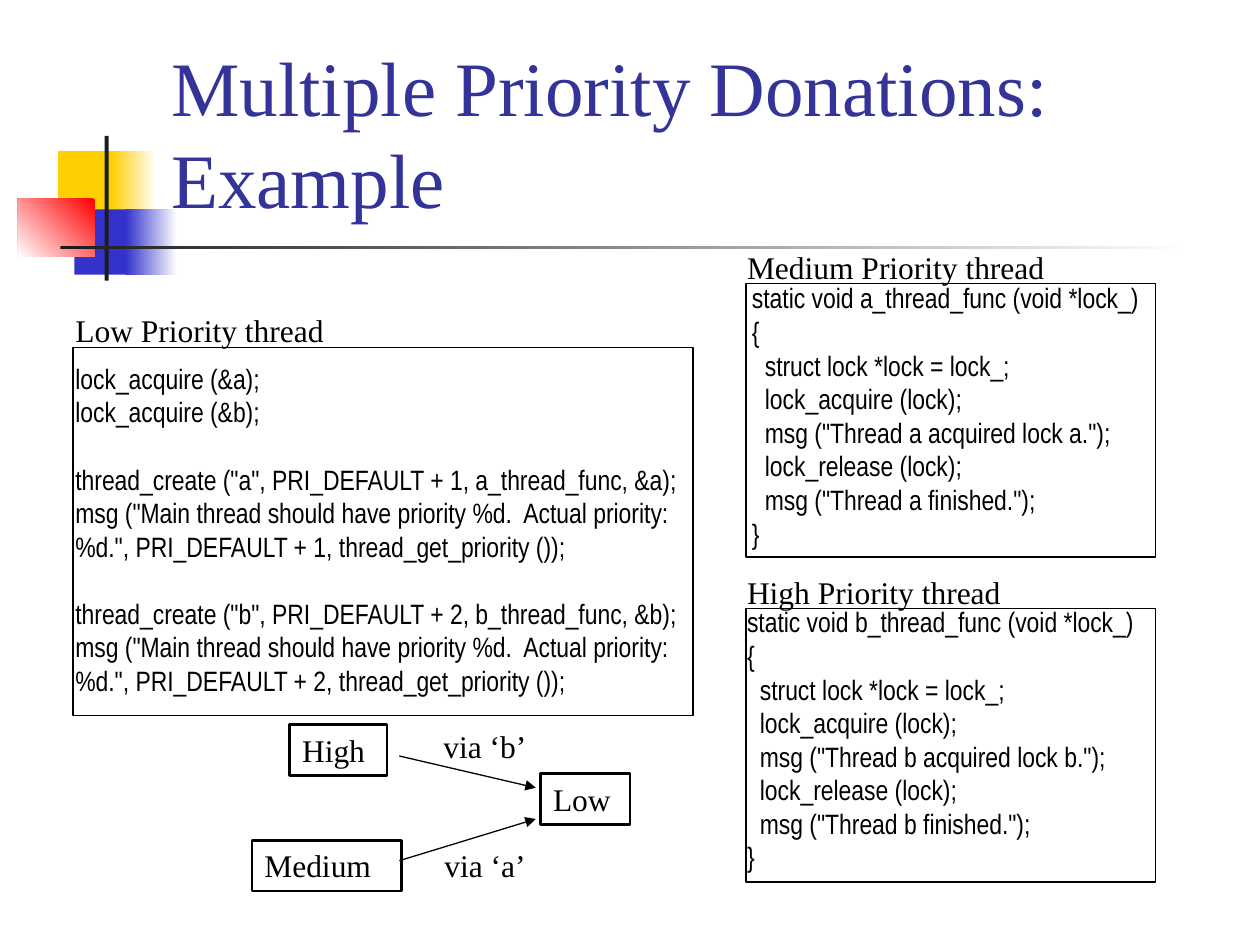
import pptx
import pptx.util
import pptx.dml.color
import pptx.enum.shapes
import pptx.enum.text
import pptx.oxml.ns
from lxml import etree
from pptx.util import Cm

SERIF, NARROW = "Times New Roman", "Arial Narrow"
BLACK, WHITE, YELLOW, BLUE = "000000", "FFFFFF", "FFCF01", "3333CC"
CODE_LINE = 19.2  # height of one code line in points

# Content: places are left, top, width, height in centimetres
TITLE = "Multiple Priority Donations: Example"
TITLE_PLACE = (3.2, 0.58, 21.64, 4.06)

# Place, start colour, end colour (None for a plain fill), gradient angle
DECORATION = [
    ((1.17, 3.05, 1.22, 1.32), YELLOW, None, 0),
    ((2.24, 3.05, 0.91, 1.32), YELLOW, WHITE, 0),
    ((1.5, 4.22, 1.17, 1.32), BLUE, None, 0),
    ((2.54, 4.22, 1.02, 1.32), BLUE, WHITE, 0),
    ((0.36, 4.01, 1.55, 1.17), "FF0000", WHITE, 225),
    ((2.11, 2.74, 0.08, 2.92), "1C1C1C", None, 0),
    ((1.22, 4.95, 22.86, 0.08), "1C1C1C", WHITE, 0),
]


def low_code():
    """Blocks of code lines; a gap of one line parts the blocks."""
    blocks = [["lock_acquire (&a);", "lock_acquire (&b);"]]
    for step, name in enumerate("ab", start=1):
        blocks.append([
            f'thread_create ("{name}", PRI_DEFAULT + {step}, {name}_thread_func, &{name});',
            'msg ("Main thread should have priority %d.  Actual priority: %d.", '
            f"PRI_DEFAULT + {step}, thread_get_priority ());",
        ])
    return blocks


def thread_code(name):
    return [[
        f"static void {name}_thread_func (void *lock_)",
        "{",
        "\tstruct lock *lock = lock_;",
        "\tlock_acquire (lock);",
        f'\tmsg ("Thread {name} acquired lock {name}.");',
        "\tlock_release (lock);",
        f'\tmsg ("Thread {name} finished.");',
        "}",
    ]]


# Heading, its place, frame place, code place, code blocks
THREADS = [
    ("Low Priority thread", (1.27, 6.15, 12.07, 1.02),
     (1.47, 7.01, 12.5, 7.42), (1.27, 7.16, 12.7, 7.04), low_code()),
    ("Medium Priority thread", (14.81, 4.88, 7.19, 1.78),
     (15.04, 5.72, 8.26, 5.51), (14.91, 5.54, 10.49, 5.69), thread_code("a")),
    ("High Priority thread", (14.81, 11.43, 8.89, 1.02),
     (15.04, 12.27, 8.26, 5.51), (14.81, 12.07, 8.46, 5.69), thread_code("b")),
]

NODES = [
    ("Low", (10.9, 15.6, 1.8, 1.02)),
    ("Medium", (5.08, 16.94, 3.02, 1.02)),
    ("High", (5.84, 14.61, 1.96, 1.02)),
]
ARROWS = [(8.05, 15.24, 10.8, 15.88), (8.05, 17.35, 10.8, 16.51)]
ARROW_LABELS = [
    ("via ‘b’", (8.69, 14.53, 2.31, 1.02)),
    ("via ‘a’", (8.71, 16.94, 2.26, 1.02)),
]


def colour(value):
    return pptx.dml.color.RGBColor.from_string(value)


def lengths(place):
    return [Cm(number) for number in place]


def format_paragraph(para, size, font, shade=BLACK):
    para.alignment = pptx.enum.text.PP_ALIGN.LEFT
    for span in para.runs:
        span.font.size = pptx.util.Pt(size)
        span.font.name = font
        span.font.color.rgb = colour(shade)


def add_rectangle(page, place, fill=None, fade=None, angle=0, line=None):
    box = page.shapes.add_shape(pptx.enum.shapes.MSO_SHAPE.RECTANGLE, *lengths(place))
    box.shadow.inherit = False
    if fade:
        box.fill.gradient()
        box.fill.gradient_angle = angle
        for stop, shade in zip(box.fill.gradient_stops, (fill, fade)):
            stop.color.rgb = colour(shade)
    elif fill:
        box.fill.solid()
        box.fill.fore_color.rgb = colour(fill)
    else:
        box.fill.background()
    if line:
        box.line.color.rgb = colour(BLACK)
        box.line.width = pptx.util.Pt(line)
    else:
        box.line.fill.background()
    return box


def write_label(box, text, wrap=False):
    frame = box.text_frame
    frame.text = text
    frame.word_wrap = wrap
    frame.auto_size = pptx.enum.text.MSO_AUTO_SIZE.SHAPE_TO_FIT_TEXT
    frame.vertical_anchor = pptx.enum.text.MSO_ANCHOR.TOP
    format_paragraph(frame.paragraphs[0], 18, SERIF)


def add_code(page, place, blocks):
    frame = page.shapes.add_textbox(*lengths(place)).text_frame
    frame.word_wrap = True
    frame.auto_size = pptx.enum.text.MSO_AUTO_SIZE.SHAPE_TO_FIT_TEXT
    para = frame.paragraphs[0]
    for block_number, block in enumerate(blocks):
        for line_number, line in enumerate(block):
            if block_number or line_number:
                para = frame.add_paragraph()
            para.text = line.lstrip("\t")
            format_paragraph(para, 16, NARROW)
            if line.startswith("\t"):
                para._p.get_or_add_pPr().set("marL", str(Cm(0.26)))
            if block_number and line_number == 0:
                para.space_before = pptx.util.Pt(CODE_LINE)


def add_arrow(page, ends):
    arrow = page.shapes.add_connector(pptx.enum.shapes.MSO_CONNECTOR.STRAIGHT, *lengths(ends))
    arrow.line.color.rgb = colour(BLACK)
    arrow.line.width = pptx.util.Pt(0.75)
    qn = pptx.oxml.ns.qn
    etree.SubElement(arrow.line._get_or_add_ln(), qn("a:tailEnd"), type="triangle")
    etree.SubElement(arrow._element.spPr, qn("a:effectLst"))


def main():
    deck = pptx.Presentation()
    deck.slide_width, deck.slide_height = Cm(25.4), Cm(19.05)
    page = deck.slides.add_slide(deck.slide_layouts[5])

    # Coloured squares and rules, with the title in front
    for place, fill, fade, angle in DECORATION:
        add_rectangle(page, place, fill, fade, angle)
    title = page.shapes.title
    title.element.getparent().append(title.element)
    title.left, title.top, title.width, title.height = lengths(TITLE_PLACE)
    title.text_frame.text = TITLE
    title.text_frame.word_wrap = True
    title.text_frame.auto_size = pptx.enum.text.MSO_AUTO_SIZE.NONE
    title.text_frame.vertical_anchor = pptx.enum.text.MSO_ANCHOR.BOTTOM
    format_paragraph(title.text_frame.paragraphs[0], 44, SERIF, "333399")

    # Code of the three threads
    for heading, heading_place, frame_place, code_place, blocks in THREADS:
        add_rectangle(page, frame_place, WHITE, line=0.75)
        add_code(page, code_place, blocks)
        write_label(page.shapes.add_textbox(*lengths(heading_place)), heading, wrap=True)

    # Donation diagram
    for name, place in NODES:
        write_label(add_rectangle(page, place, line=1.5), name)
    for ends in ARROWS:
        add_arrow(page, ends)
    for text, place in ARROW_LABELS:
        write_label(page.shapes.add_textbox(*lengths(place)), text)

    deck.save("out.pptx")


if __name__ == "__main__":
    main()
